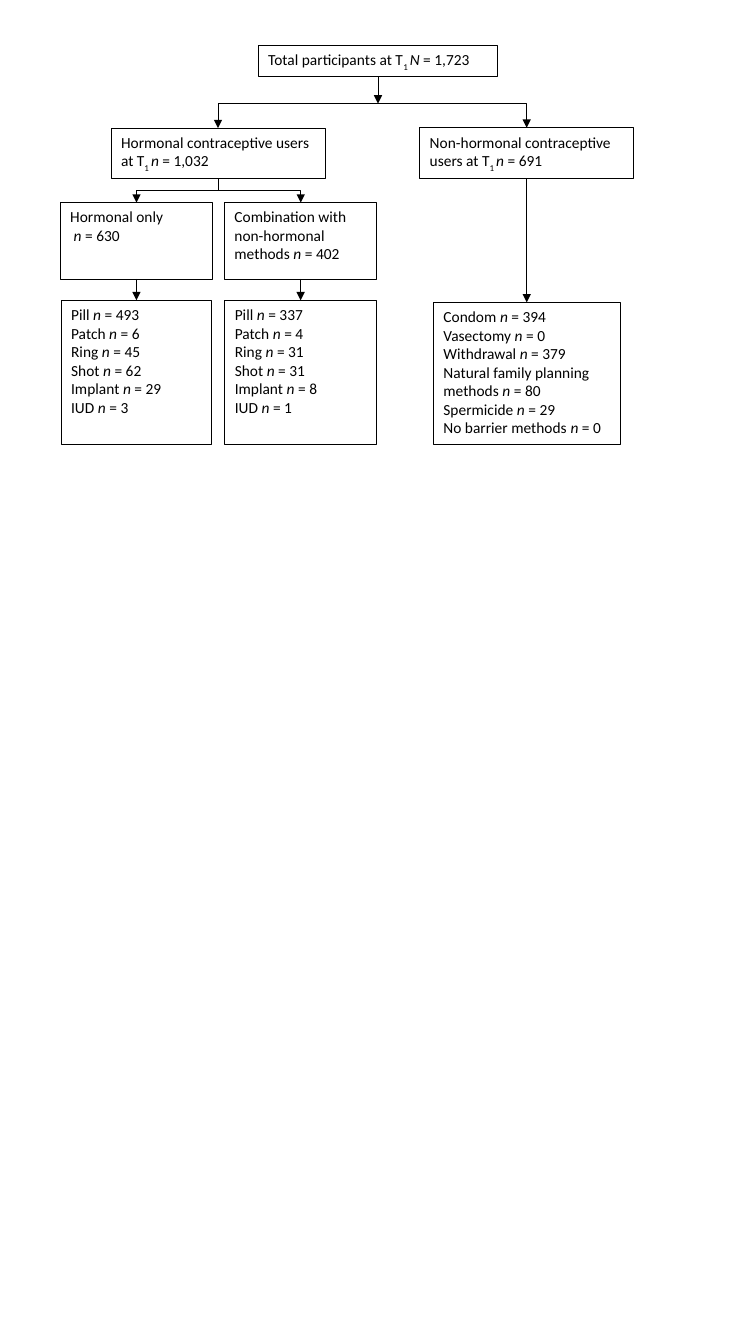
from pptx import Presentation
from pptx.dml.color import RGBColor
from pptx.enum.shapes import MSO_CONNECTOR, MSO_SHAPE
from pptx.enum.text import MSO_ANCHOR, PP_ALIGN
from pptx.oxml.ns import qn
from pptx.util import Pt
from lxml.etree import SubElement

BLACK = RGBColor(0, 0, 0)
WHITE = RGBColor(255, 255, 255)
FONT = "Calibri"

TOTAL = ["Total participants at T_1 _~N~ = 1,723"]
USERS = ["Hormonal contraceptive users at T_1 _~n~ = 1,032"]
OTHERS = ["Non-hormonal contraceptive users at T_1 _~n~ = 691"]
ONLY = ["Hormonal only ", " ~n~ = 630"]
COMBO = ["Combination with non-hormonal methods ~n~ = 402"]
KINDS = ["Pill", "Patch", "Ring", "Shot", "Implant", "IUD"]
BARRIERS = [("Condom", 394), ("Vasectomy", 0), ("Withdrawal", 379),
            ("Natural family planning methods", 80),
            ("Spermicide", 29), ("No barrier methods", 0)]


def counts(pairs):
    return [f"{name} ~n~ = {num}" for name, num in pairs]


ONLY_KINDS = counts(zip(KINDS, [493, 6, 45, 62, 29, 3]))
COMBO_KINDS = counts(zip(KINDS, [337, 4, 31, 31, 8, 1]))

MID, LEFT, RIGHT = 270, 155.75, 376.25
NEAR, FAR = 97.5, 214.75
FORK = 74
BOXES = {
    "total": (MID, 32.5, 171, 22.25, TOTAL),
    "users": (LEFT, 91.5, 152.75, 36.25, USERS),
    "others": (RIGHT, 91.25, 152.75, 36.5, OTHERS),
    "only": (NEAR, 144.75, 108.75, 54.5, ONLY),
    "combo": (FAR, 144.75, 108.75, 54.5, COMBO),
    "only kinds": (NEAR, 214.5, 107.5, 102.75, ONLY_KINDS),
    "combo kinds": (FAR, 214.5, 108.25, 102.75, COMBO_KINDS),
    "barriers": (RIGHT, 216, 133.25, 101.25, counts(BARRIERS)),
}
DROPS = [("only", "only kinds"), ("combo", "combo kinds"),
         ("others", "barriers")]

deck = Presentation()
deck.slide_width, deck.slide_height = Pt(540), Pt(960)
slide = deck.slides.add_slide(deck.slide_layouts[6])


def write(para, line):
    para.alignment = PP_ALIGN.LEFT
    for i, part in enumerate(line.split("~")):
        for j, text in enumerate(part.split("_")):
            if not text:
                continue
            run = para.add_run()
            run.text = text
            font = run.font
            font.name, font.size = FONT, Pt(11)
            font.color.rgb = BLACK
            font.italic = i % 2 == 1
            if j % 2:
                run._r.get_or_add_rPr().set("baseline", "-30000")


def box(mid, top, wide, high, lines):
    shape = slide.shapes.add_shape(MSO_SHAPE.RECTANGLE, Pt(mid - wide / 2),
                                   Pt(top), Pt(wide), Pt(high))
    shape.shadow.inherit = False
    shape.fill.solid()
    shape.fill.fore_color.rgb = WHITE
    shape.line.color.rgb = BLACK
    shape.line.width = Pt(0.5)
    frame = shape.text_frame
    frame.word_wrap = True
    frame.vertical_anchor = MSO_ANCHOR.TOP
    for i, line in enumerate(lines):
        write(frame.add_paragraph() if i else frame.paragraphs[0], line)


def arrow(kind, *ends):
    link = slide.shapes.add_connector(kind, *[Pt(end) for end in ends])
    link.line.color.rgb = BLACK
    link.line.width = Pt(0.5)
    props = link._element.spPr
    SubElement(props.find(qn("a:ln")), qn("a:tailEnd"), type="triangle")
    SubElement(props, qn("a:effectLst"))
    return props


def drop(x, top, end):
    arrow(MSO_CONNECTOR.STRAIGHT, x, top, x, end)


def corner(x, top, to, end):
    props = arrow(MSO_CONNECTOR.ELBOW, x, top, to, end)
    props.find(qn("a:prstGeom")).set("prst", "bentConnector2")


def branch(x, top, to, end):
    mid, level = (x + to) / 2, (top + end) / 2
    half, reach = (end - top) / 2, abs(to - x) / 2
    if to > x:
        half = -half
    props = arrow(MSO_CONNECTOR.ELBOW, mid - half, level - reach,
                  mid + half, level + reach)
    turn = 270 if to > x else 90
    props.find(qn("a:xfrm")).set("rot", str(turn * 60000))


def foot(name):
    return BOXES[name][1] + BOXES[name][3]


for spot in BOXES.values():
    box(*spot)

drop(MID, foot("total"), FORK)
for name in ("users", "others"):
    corner(MID, FORK, *BOXES[name][:2])
for name in ("only", "combo"):
    branch(LEFT, foot("users"), *BOXES[name][:2])
for start, end in DROPS:
    drop(BOXES[start][0], foot(start), BOXES[end][1])

deck.save("out.pptx")
